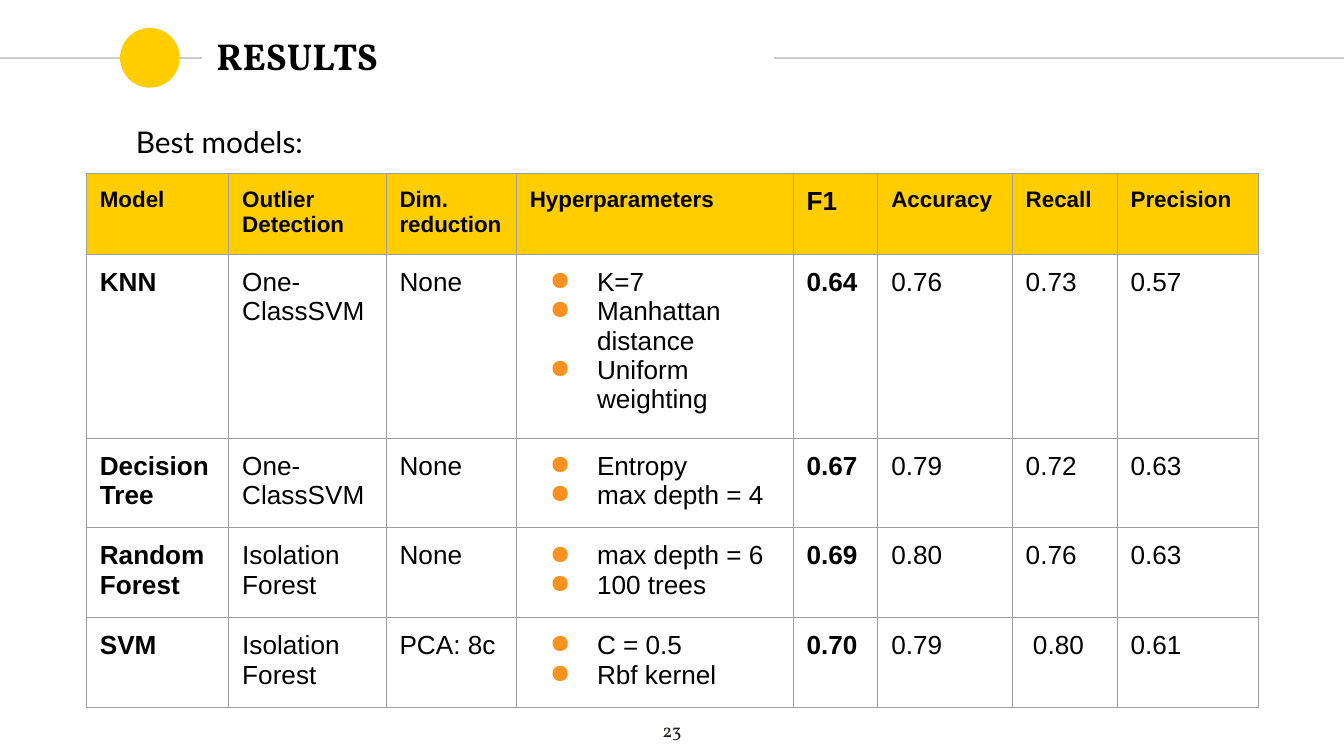
from dataclasses import dataclass

from lxml import etree
from pptx import Presentation
from pptx.dml.color import RGBColor
from pptx.enum.shapes import MSO_CONNECTOR, MSO_SHAPE
from pptx.enum.text import MSO_ANCHOR, PP_ALIGN
from pptx.oxml.ns import qn
from pptx.util import Pt

STRAIGHT, ELLIPSE = MSO_CONNECTOR.STRAIGHT, MSO_SHAPE.OVAL
TOP, MIDDLE = MSO_ANCHOR.TOP, MSO_ANCHOR.MIDDLE
LEFT, CENTER = PP_ALIGN.LEFT, PP_ALIGN.CENTER
YELLOW, ORANGE, BLACK = "FFCD00", "F6921D", "000000"
RULE_GREY, BORDER_GREY, PAGE_GREY = "CCCCCC", "9E9E9E", "1D1D1B"
INSET = Pt(7.2)
MARGINS = {f"margin_{side}": INSET for side in ("left", "top", "right", "bottom")}
RULE_Y = 31


@dataclass
class TextStyle:
    font: str
    size: float
    color: str = BLACK
    bold: bool = False
    align: PP_ALIGN = LEFT
    anchor: MSO_ANCHOR = TOP


@dataclass
class ModelResult:
    model: list[str]
    outlier_detection: str
    reduction: str
    hyperparameters: list[str]
    scores: list[str]


TITLE = TextStyle("Vollkorn", 20, bold=True, anchor=MIDDLE)
CAPTION = TextStyle("Lato", 16)
PAGE_NUMBER = TextStyle("Vollkorn", 10, PAGE_GREY, align=CENTER, anchor=MIDDLE)
HEADER = TextStyle("Arial", 12, bold=True)
BODY = TextStyle("Arial", 14)
STRONG = TextStyle("Arial", 14, bold=True)

HEADINGS = ["Model", "Outlier Detection", "Dim. reduction", "Hyperparameters",
            "F1", "Accuracy", "Recall", "Precision"]
COLUMN_WIDTHS = [76.3, 84.3, 69.8, 148.3, 45.4, 72, 56.2, 75.6]
HEADER_HEIGHT, ROW_HEIGHT = 43.2, 30.24  # rows grow to fit their text
MODEL_COLUMN, HYPERPARAMETER_COLUMN, F1_COLUMN = 0, 3, 4
RESULTS = [
    ModelResult(["KNN"], "One-ClassSVM", "None",
                ["K=7", "Manhattan distance", "Uniform weighting"],
                ["0.64", "0.76", "0.73", "0.57"]),
    ModelResult(["Decision", "Tree"], "One-ClassSVM", "None",
                ["Entropy", "max depth = 4"], ["0.67", "0.79", "0.72", "0.63"]),
    ModelResult(["Random", "Forest"], "Isolation Forest", "None",
                ["max depth = 6", "100 trees"], ["0.69", "0.80", "0.76", "0.63"]),
    ModelResult(["SVM"], "Isolation Forest", "PCA: 8c",
                ["C = 0.5", "Rbf kernel"], ["0.70", "0.79", " 0.80", "0.61"]),
]


def paint(color_format, color: str) -> None:
    color_format.rgb = RGBColor.from_string(color)


def fill_solid(fill, color: str) -> None:
    fill.solid()
    paint(fill.fore_color, color)


def write(frame, lines: list[str], style: TextStyle) -> None:
    frame.text = "\n".join(lines)
    for paragraph in frame.paragraphs:
        paragraph.alignment = style.align
        font = paragraph.runs[0].font
        for name, value in {"name": style.font, "size": Pt(style.size),
                            "bold": style.bold}.items():
            setattr(font, name, value)
        paint(font.color, style.color)


def format_frame(frame, style: TextStyle) -> None:
    for name, value in {**MARGINS, "word_wrap": True,
                        "vertical_anchor": style.anchor}.items():
        setattr(frame, name, value)


def add_label(slide, text: str, left: float, top: float, width: float,
              height: float, style: TextStyle) -> None:
    frame = slide.shapes.add_textbox(Pt(left), Pt(top), Pt(width), Pt(height)).text_frame
    format_frame(frame, style)
    write(frame, [text], style)


def add_rule(slide, start: float, end: float) -> None:
    rule = slide.shapes.add_connector(STRAIGHT, Pt(start), Pt(RULE_Y), Pt(end), Pt(RULE_Y))
    paint(rule.line.color, RULE_GREY)
    rule.line.width = Pt(0.75)
    etree.SubElement(rule._element.spPr, qn("a:effectLst"))


def add_bullet(paragraph) -> None:
    properties = paragraph._p.get_or_add_pPr()
    properties.set("marL", str(Pt(36)))
    properties.set("indent", str(Pt(-25.2)))
    color = etree.SubElement(properties, qn("a:buClr"))
    etree.SubElement(color, qn("a:srgbClr"), val=ORANGE)
    etree.SubElement(properties, qn("a:buChar"), char="●")


def add_borders(cell) -> None:
    properties = cell._tc.get_or_add_tcPr()
    for position, side in enumerate(("lnL", "lnR", "lnT", "lnB")):
        border = etree.Element(qn(f"a:{side}"), w=str(Pt(0.75)))
        fill = etree.SubElement(border, qn("a:solidFill"))
        etree.SubElement(fill, qn("a:srgbClr"), val=BORDER_GREY)
        properties.insert(position, border)


def fill_cell(cell, lines: list[str], style: TextStyle) -> None:
    for name, value in {**MARGINS, "vertical_anchor": style.anchor}.items():
        setattr(cell, name, value)
    cell.fill.background()
    add_borders(cell)
    write(cell.text_frame, lines, style)


def add_results_table(slide) -> None:
    height = HEADER_HEIGHT + ROW_HEIGHT * len(RESULTS)
    table = slide.shapes.add_table(len(RESULTS) + 1, len(HEADINGS), Pt(46.3), Pt(93),
                                   Pt(sum(COLUMN_WIDTHS)), Pt(height)).table
    table.first_row = table.horz_banding = False
    for column, width in zip(table.columns, COLUMN_WIDTHS):
        column.width = Pt(width)
    for index, row in enumerate(table.rows):
        row.height = Pt(ROW_HEIGHT if index else HEADER_HEIGHT)

    for column, heading in enumerate(HEADINGS):
        cell = table.cell(0, column)
        fill_cell(cell, [heading], STRONG if column == F1_COLUMN else HEADER)
        fill_solid(cell.fill, YELLOW)

    for row, result in enumerate(RESULTS, start=1):
        contents = [result.model, [result.outlier_detection], [result.reduction],
                    result.hyperparameters, *([score] for score in result.scores)]
        for column, lines in enumerate(contents):
            style = STRONG if column in (MODEL_COLUMN, F1_COLUMN) else BODY
            fill_cell(table.cell(row, column), lines, style)
        for paragraph in table.cell(row, HYPERPARAMETER_COLUMN).text_frame.paragraphs:
            add_bullet(paragraph)


def add_heading(slide) -> None:
    add_rule(slide, 0, 108)
    diameter = 32
    dot = slide.shapes.add_shape(ELLIPSE, Pt(64.3), Pt(RULE_Y - diameter / 2),
                                 Pt(diameter), Pt(diameter))
    dot.shadow.inherit = False
    fill_solid(dot.fill, YELLOW)
    dot.line.fill.background()
    add_rule(slide, 414.7, 720)

    title = slide.shapes.title
    for name, value in {"left": 108.7, "top": 12.4, "width": 305.3, "height": 34.6}.items():
        setattr(title, name, Pt(value))
    format_frame(title.text_frame, TITLE)
    write(title.text_frame, ["RESULTS"], TITLE)


def main() -> None:
    presentation = Presentation()
    presentation.slide_width, presentation.slide_height = Pt(720), Pt(405)
    title_only = presentation.slide_layouts[5]
    slide = presentation.slides.add_slide(title_only)
    fill_solid(slide.background.fill, "FFFFFF")
    add_heading(slide)
    add_label(slide, "23", 338.4, 377.3, 43.2, 27.4, PAGE_NUMBER)
    add_results_table(slide)
    add_label(slide, "Best models:", 65.7, 59.2, 285, 33.8, CAPTION)
    presentation.save("out.pptx")


if __name__ == "__main__":
    main()
